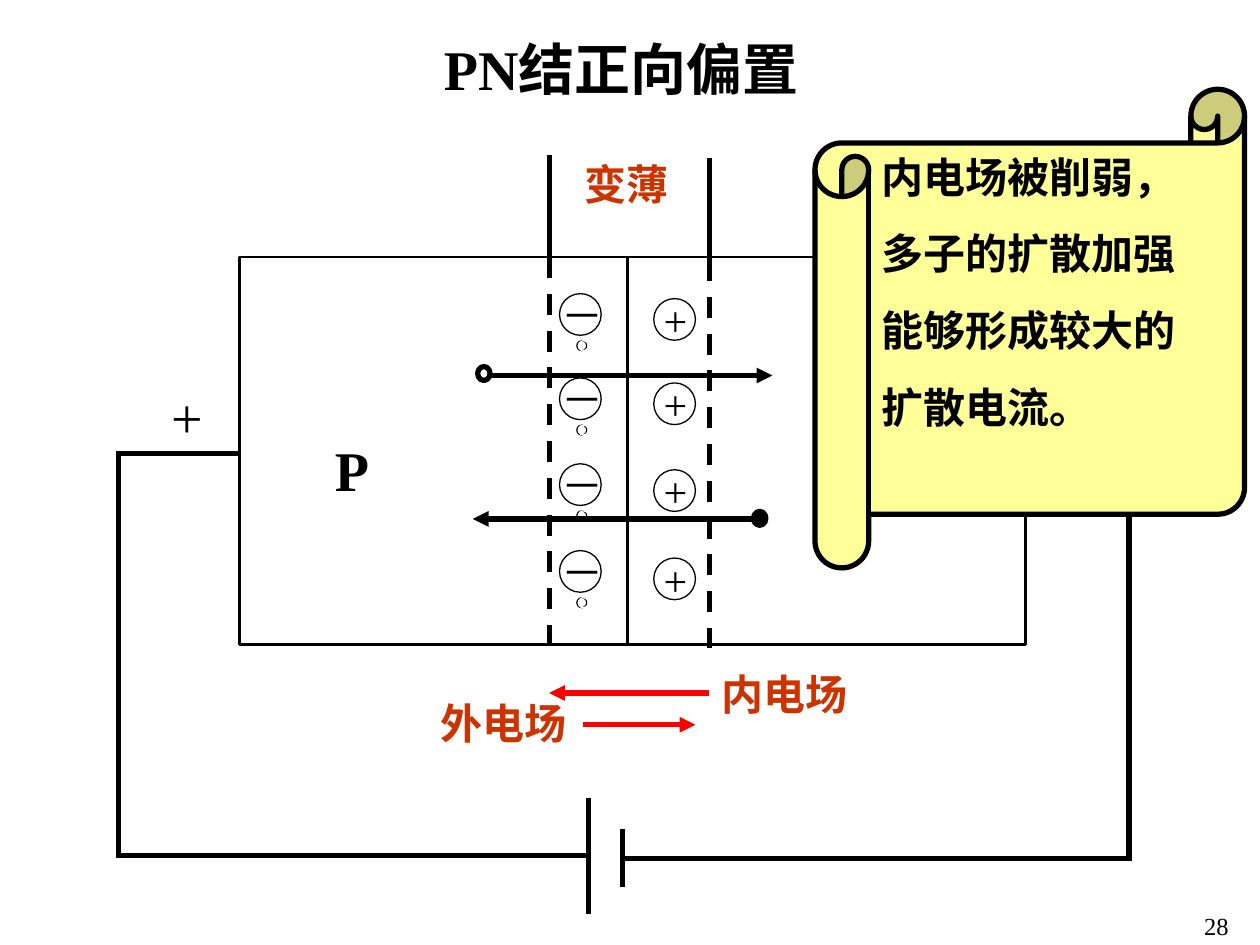
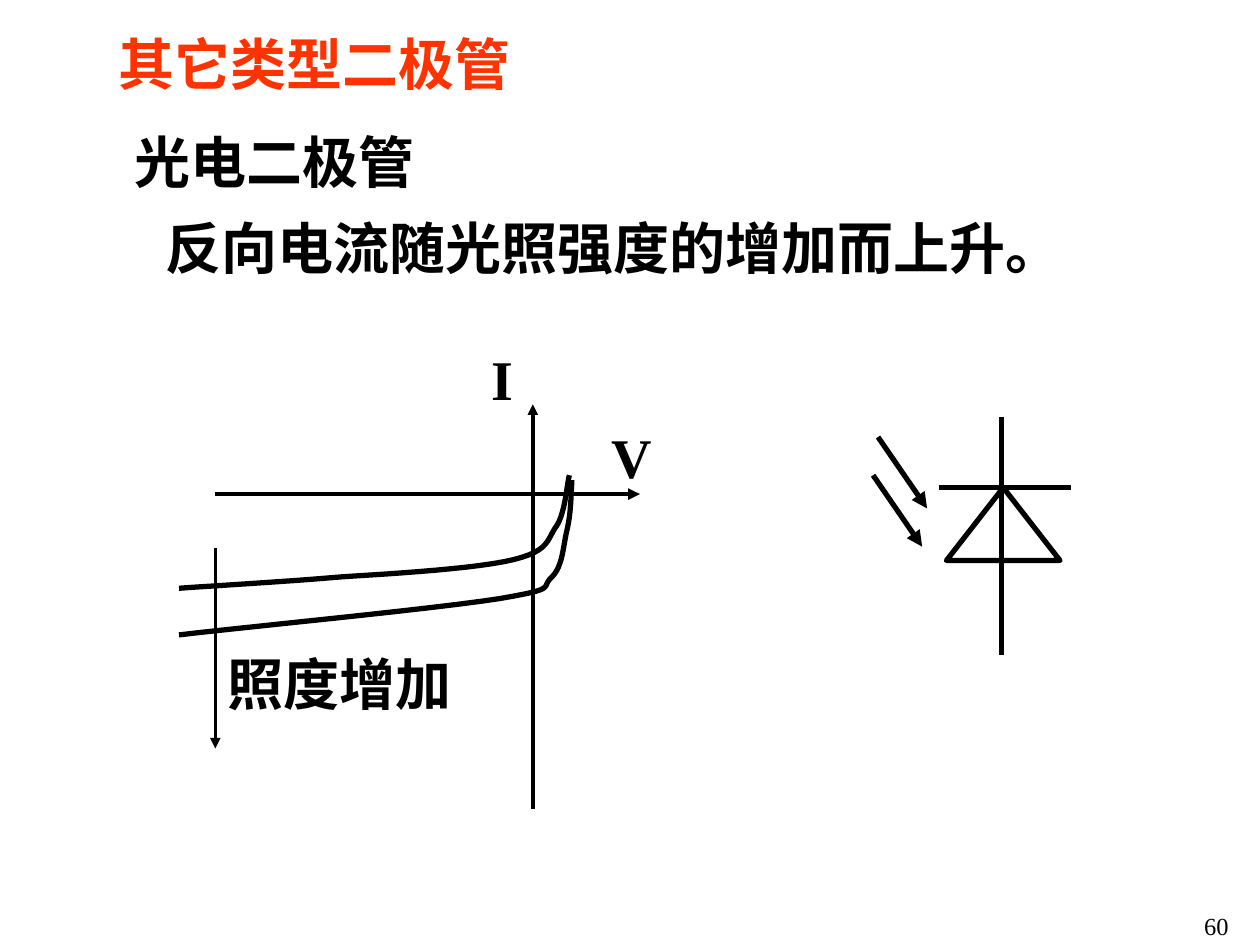
from dataclasses import dataclass

from lxml import etree
from pptx import Presentation
from pptx.dml.color import RGBColor
from pptx.enum.dml import MSO_LINE
from pptx.enum.shapes import MSO_CONNECTOR, MSO_SHAPE
from pptx.enum.text import MSO_ANCHOR, MSO_AUTO_SIZE, PP_ALIGN
from pptx.oxml.ns import qn
from pptx.util import Cm, Pt

LEFT, CENTER = PP_ALIGN.LEFT, PP_ALIGN.CENTER
TOP, MIDDLE = MSO_ANCHOR.TOP, MSO_ANCHOR.MIDDLE
NO_FIT = MSO_AUTO_SIZE.NONE
STRAIGHT = MSO_CONNECTOR.STRAIGHT
DASH = MSO_LINE.DASH
RECT, OVAL = MSO_SHAPE.RECTANGLE, MSO_SHAPE.OVAL
TRIANGLE, SCROLL = MSO_SHAPE.ISOSCELES_TRIANGLE, MSO_SHAPE.HORIZONTAL_SCROLL
TITLE_ONLY = 5


@dataclass(frozen=True)
class Theme:
    font: str = "Times New Roman"
    black: str = "000000"
    white: str = "FFFFFF"
    red: str = "FF0000"
    label: str = "CC3300"
    heading: str = "FF3300"
    note: str = "FFFF99"
    large: int = 32
    medium: int = 24
    small: int = 14
    hairline: float = 0.75
    outline: float = 1.5
    axis: float = 2
    heavy: float = 3


THEME = Theme()


def set_values(obj, values):
    for name, value in values.items():
        setattr(obj, name, value)


def rgb(color):
    return RGBColor.from_string(color)


def box(left, top, width, height):
    return Cm(left), Cm(top), Cm(width), Cm(height)


def set_line(sp, width, color=THEME.black):
    sp.line.color.rgb = rgb(color)
    sp.line.width = Pt(width)


def write_text(sp, lines, size=THEME.large, color=THEME.black, bold=True,
               align=LEFT, anchor=MIDDLE, wrap=True, gap=0):
    tf = sp.text_frame
    set_values(tf, {"word_wrap": wrap, "auto_size": NO_FIT, "vertical_anchor": anchor,
                    "margin_left": Cm(0.25), "margin_right": Cm(0.25),
                    "margin_top": Cm(0.13), "margin_bottom": Cm(0.13)})
    for i, line in enumerate(lines):
        p = tf.add_paragraph() if i else tf.paragraphs[0]
        set_values(p, {"alignment": align, "space_before": Pt(gap if i else 0)})
        r = p.add_run()
        r.text = line
        set_values(r.font, {"name": THEME.font, "size": Pt(size), "bold": bold})
        r.font.color.rgb = rgb(color)


def add_label(s, text, bounds, **style):
    write_text(s.shapes.add_textbox(*box(*bounds)), [text], **style)


def add_title(s, text, bounds, **style):
    sp = s.shapes.title
    set_values(sp, dict(zip(("left", "top", "width", "height"), box(*bounds))))
    write_text(sp, [text], **style)


def add_page_number(s, number):
    add_label(s, str(number), (22.07, 18.24, 4.9, 0.84),
              size=THEME.small, bold=False, align=CENTER)


def add_outline(s, kind, bounds, width=THEME.heavy, color=THEME.black, fill=None):
    sp = s.shapes.add_shape(kind, *box(*bounds))
    sp.shadow.inherit = False
    if fill:
        sp.fill.solid()
        sp.fill.fore_color.rgb = rgb(fill)
    else:
        sp.fill.background()
    set_line(sp, width, color)
    return sp


def add_line(s, x1, y1, x2, y2, width=THEME.heavy, color=THEME.black,
             dash=None, arrow=False):
    sp = s.shapes.add_connector(STRAIGHT, Cm(x1), Cm(y1), Cm(x2), Cm(y2))
    set_line(sp, width, color)
    if dash:
        sp.line.dash_style = dash
    if arrow:
        etree.SubElement(sp.line._get_or_add_ln(), qn("a:tailEnd"), type="triangle")
    etree.SubElement(sp._element.spPr, qn("a:effectLst"))


def bezier_points(start, segments, steps=12):
    points = [start]
    for c1, c2, end in segments:
        p0 = points[-1]
        for i in range(1, steps + 1):
            t = i / steps
            u = 1 - t
            points.append(tuple(
                u ** 3 * a + 3 * u * u * t * b + 3 * u * t * t * c + t ** 3 * d
                for a, b, c, d in zip(p0, c1, c2, end)))
    return points


def add_curve(s, start, segments):
    points = [(Cm(x), Cm(y)) for x, y in bezier_points(start, segments)]
    fb = s.shapes.build_freeform(*points[0])
    fb.add_line_segments(points[1:], close=False)
    sp = fb.convert_to_shape()
    sp.shadow.inherit = False
    sp.fill.background()
    set_line(sp, THEME.heavy)


def add_ion(s, sign, left, top, text_left, text_width):
    add_outline(s, OVAL, (left, top, 0.84, 0.84), THEME.hairline)
    add_label(s, sign, (text_left, top - 0.21, text_width, 1.27),
              size=THEME.medium, bold=False, anchor=TOP)


def add_junction(s):
    for left, width in ((4.83, 7.82), (12.65, 8.03)):
        add_outline(s, RECT, (left, 5.18, width, 7.82), THEME.outline)
    for top in (5.92, 7.62, 9.35, 11.1):
        add_ion(s, "－", 11.28, top, 11.07, 1.47)
        for left, color in ((11.63, THEME.black), (11.66, THEME.white)):
            add_outline(s, OVAL, (left, top + 0.95, 0.2, 0.2), THEME.hairline, color)
    for top in (6.02, 7.72, 9.47, 11.25):
        add_ion(s, "+", 13.18, top, 13.13, 1.07)
    for x, top in ((11.07, 3.12), (14.3, 3.18)):
        add_line(s, x, top + 2.06, x, top + 9.88, dash=DASH)
        add_line(s, x, top, x, top + 2.06)
    add_label(s, "变薄", (11.53, 3.07, 2.64, 1.27), size=THEME.medium, color=THEME.label)
    add_label(s, "P", (6.5, 8.64, 1.93, 1.63), anchor=TOP)


def add_circuit(s):
    wires = (
        (2.34, 9.14, 4.83, 9.14),
        (2.39, 9.14, 2.39, 17.25),
        (2.34, 17.25, 11.86, 17.25),
        (22.76, 9.14, 22.76, 17.25),
        (12.55, 17.3, 22.81, 17.3),
    )
    battery_plates = ((11.86, 16.08, 11.86, 18.42), (12.55, 16.71, 12.55, 17.88))
    for ends in wires + battery_plates:
        add_line(s, *ends)
    add_label(s, "+", (3.2, 7.59, 2.08, 1.63), bold=False, anchor=TOP)


def add_fields_and_carriers(s):
    fields = (
        ("内电场", (14.3, 13.34, 3.48, 1.27), (14.3, 13.97, 11.07, 13.97)),
        ("外电场", (8.64, 13.94, 3.38, 1.27), (11.76, 14.61, 14.02, 14.61)),
    )
    for name, bounds, ends in fields:
        add_line(s, *ends, color=THEME.red, arrow=True)
        add_label(s, name, bounds, size=THEME.medium, color=THEME.label)
    carriers = (
        ((9.63, 7.39), None, (9.91, 7.57, 15.57, 7.57)),
        ((15.19, 10.31), THEME.black, (15.19, 10.46, 9.53, 10.46)),
    )
    for corner, fill, ends in carriers:
        add_outline(s, OVAL, (*corner, 0.25, 0.28), fill=fill)
        add_line(s, *ends, arrow=True)


def add_note(s, lines):
    sp = add_outline(s, SCROLL, (16.43, 1.8, 8.66, 9.65), fill=THEME.note)
    write_text(sp, lines, size=THEME.medium, gap=15)
    sp.text_frame.margin_bottom = Cm(1.63)


def add_photodiode_curves(s):
    add_line(s, 4.34, 9.96, 12.9, 9.96, width=2.25, arrow=True)
    add_line(s, 10.74, 16.31, 10.74, 8.15, width=THEME.axis, arrow=True)
    add_line(s, 4.34, 11.05, 4.34, 15.09, width=THEME.axis, arrow=True)
    add_curve(s, (11.48, 9.58), (
        ((11.43, 9.75), (11.4, 10.31), (11.23, 10.59)),
        ((11.02, 10.87), (11.1, 11.1), (10.36, 11.28)),
        ((9.65, 11.46), (8, 11.56), (6.88, 11.63)),
        ((5.74, 11.73), (4.29, 11.81), (3.61, 11.86)),
    ))
    add_curve(s, (11.53, 9.68), (
        ((11.51, 10.03), (11.51, 10.36), (11.43, 10.69)),
        ((11.35, 11.02), (11.35, 11.4), (11.13, 11.63)),
        ((10.87, 11.86), (11.3, 11.86), (10.06, 12.07)),
        ((8.81, 12.27), (4.67, 12.67), (3.61, 12.8)),
    ))


def add_photodiode_symbol(s):
    add_line(s, 18.92, 9.83, 21.59, 9.83)
    add_outline(s, TRIANGLE, (19.08, 9.83, 2.29, 1.47))
    add_line(s, 20.19, 8.41, 20.19, 13.21)
    for x, y in ((17.7, 8.81), (17.6, 9.58)):
        add_line(s, x, y, x + 0.99, y + 1.44, arrow=True)


def build_forward_bias(prs):
    s = prs.slides.add_slide(prs.slide_layouts[TITLE_ONLY])
    add_title(s, "PN结正向偏置", (7.26, 0.56, 10.54, 1.63), align=CENTER)
    add_junction(s)
    add_circuit(s)
    add_fields_and_carriers(s)
    add_note(s, ("内电场被削弱，", "多子的扩散加强", "能够形成较大的", "扩散电流。"))
    add_page_number(s, 28)


def build_photodiode(prs):
    s = prs.slides.add_slide(prs.slide_layouts[TITLE_ONLY])
    add_title(s, "其它类型二极管", (2.13, 0.46, 11.05, 1.63),
              color=THEME.heading, anchor=TOP)
    add_label(s, "反向电流随光照强度的增加而上升。", (2.21, 4.17, 20.32, 1.63), align=CENTER)
    add_photodiode_curves(s)
    labels = (
        ("光电二极管", 2.46, 2.44, 6.15),
        ("I", 9.65, 6.81, 0.94),
        ("V", 12.07, 8.38, 1.32),
        ("照度增加", 4.34, 12.95, 5.03),
    )
    for text, left, top, width in labels:
        add_label(s, text, (left, top, width, 1.63), align=CENTER, wrap=False)
    add_photodiode_symbol(s)
    add_page_number(s, 60)


def main():
    prs = Presentation()
    set_values(prs, {"slide_width": Cm(25.4), "slide_height": Cm(19.05)})
    build_forward_bias(prs)
    build_photodiode(prs)
    prs.save("out.pptx")


if __name__ == "__main__":
    main()
